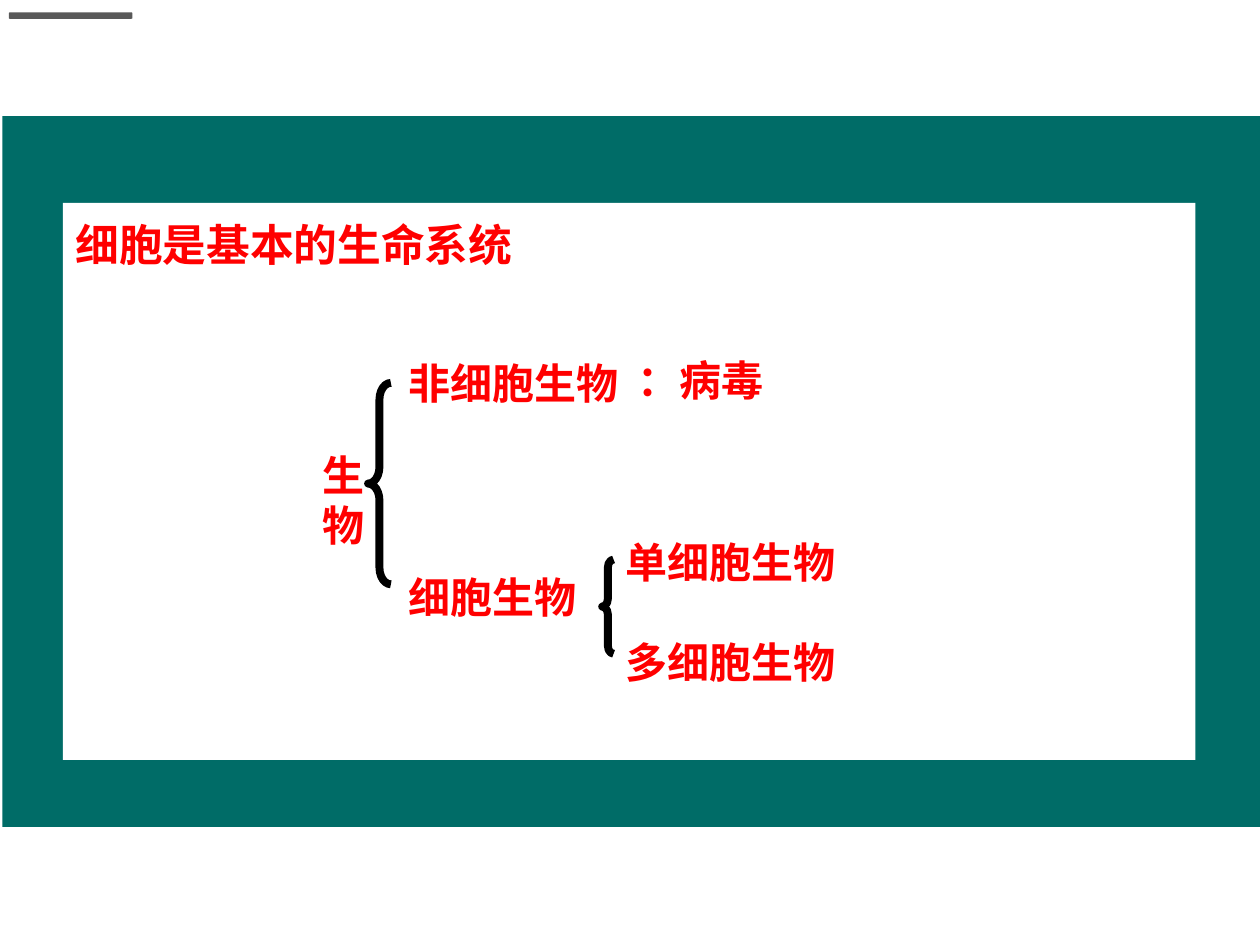
from lxml import etree
from pptx import Presentation
from pptx import util as u
from pptx.dml import color as c
from pptx.enum import shapes, text
from pptx.oxml import ns

HUES = {"teal": "006C67", "white": "FFFFFF", "red": "FF0000",
        "grey": "595959", "black": "000000"}
FONT = "Noto Sans CJK SC"


def tint(name):
    return c.RGBColor.from_string(HUES[name])


def place(box, x, y, w, h):
    """Turn offsets within a box, in cm, into slide lengths."""
    return [u.Cm(n) for n in (box[0] + x, box[1] + y, w, h)]


def block(slide, kind, spot, fill):
    shape = slide.shapes.add_shape(kind, *spot)
    shape.shadow.inherit = False
    shape.fill.solid()
    shape.fill.fore_color.rgb = tint(fill)
    shape.line.fill.background()
    return shape


def write(frame, lines, size=24, gap=0):
    frame.word_wrap = True
    frame.vertical_anchor = text.MSO_ANCHOR.TOP
    frame.text = "\n".join(lines)
    for i, para in enumerate(frame.paragraphs):
        para.alignment = text.PP_ALIGN.LEFT
        para.line_spacing = u.Pt(size * 1.2)
        if i:
            para.space_before = u.Pt(gap)
        for run in para.runs:
            font = run.font
            font.name, font.size, font.bold = FONT, u.Pt(size), True
            font.color.rgb = tint("red")
            props = run._r.get_or_add_rPr()
            props.set("lang", "zh-CN")
            east = etree.SubElement(props, ns.qn("a:ea"))
            east.set("typeface", FONT)


def label(slide, spot, lines, gap=0):
    write(slide.shapes.add_textbox(*spot).text_frame, lines, gap=gap)


def brace(slide, spot, bend):
    shape = slide.shapes.add_shape(shapes.MSO_SHAPE.LEFT_BRACE, *spot)
    shape.shadow.inherit = False
    shape.adjustments[0] = bend
    shape.fill.background()
    shape.line.color.rgb = tint("black")
    shape.line.width = u.Pt(4.5)


def panel(slide, box):
    """Teal frame with a white board that holds the heading."""
    rect = shapes.MSO_SHAPE.RECTANGLE
    block(slide, rect, place(box, 0, 0, 25.37, 14.33), "teal")
    board = block(slide, rect, place(box, 1.22, 1.75, 22.83, 11.23), "white")
    board.text_frame.margin_top = u.Cm(0.3)
    write(board.text_frame, ["细胞是基本的生命系统"], size=25)


def tree(slide, box):
    """Classes of living things, split by two braces."""
    label(slide, place(box, 0, 1.92, 1.24, 2.31), ["生物"])
    label(slide, place(box, 1.73, 0.08, 5.05, 5.89),
          ["非细胞生物", "细胞生物"], gap=93.5)
    label(slide, place(box, 6.35, 0.02, 4.95, 1.27), ["：病毒"])
    label(slide, place(box, 6.12, 3.68, 4.95, 3.33),
          ["单细胞生物", "多细胞生物"], gap=28.5)
    brace(slide, place(box, 1.17, 0.71, 0.46, 4.06), 0.73)
    brace(slide, place(box, 5.89, 4.27, 0.23, 1.9), 0.69)


def main():
    deck = Presentation()
    deck.slide_width, deck.slide_height = u.Cm(25.4), u.Cm(19.05)
    slide = deck.slides.add_slide(deck.slide_layouts[6])
    panel(slide, (0.05, 2.34))
    tree(slide, (6.25, 7.01))
    block(slide, shapes.MSO_SHAPE.ROUNDED_RECTANGLE,
          place((0.18, 0.25), 0, 0, 2.49, 0.13), "grey")
    deck.save("out.pptx")


if __name__ == "__main__":
    main()
